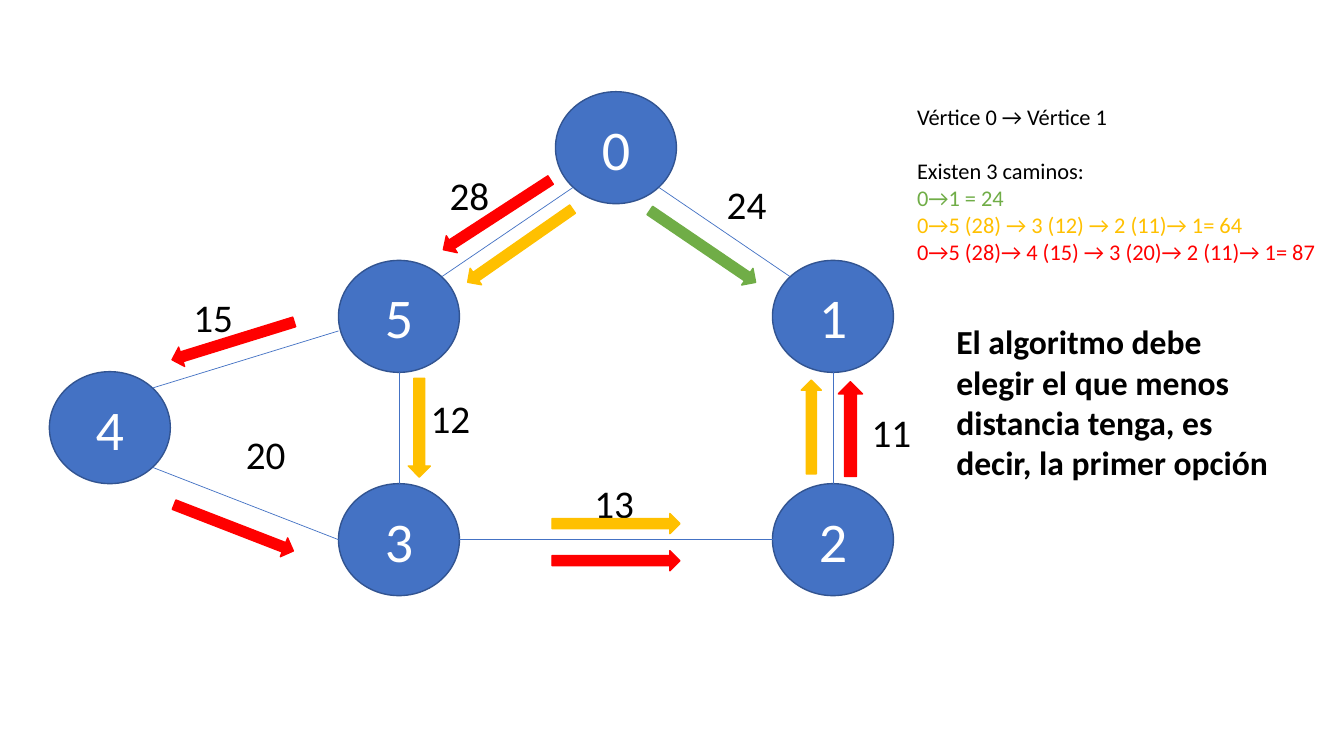
"""Build a slide of a weighted graph with the three paths from vertex 0 to vertex 1."""
from dataclasses import dataclass

from lxml import etree
from pptx import Presentation
from pptx.dml.color import RGBColor
from pptx.enum.shapes import MSO_CONNECTOR, MSO_SHAPE
from pptx.enum.text import MSO_ANCHOR, MSO_AUTO_SIZE, PP_ALIGN
from pptx.oxml.ns import qn
from pptx.util import Pt

OVAL, ARROW = MSO_SHAPE.OVAL, MSO_SHAPE.DOWN_ARROW
STRAIGHT = MSO_CONNECTOR.STRAIGHT
MIDDLE, CENTER, LEFT = MSO_ANCHOR.MIDDLE, PP_ALIGN.CENTER, PP_ALIGN.LEFT
FIT_SHAPE = MSO_AUTO_SIZE.SHAPE_TO_FIT_TEXT


@dataclass(frozen=True)
class Theme:
    font: str = "Calibri"
    black: str = "000000"
    white: str = "FFFFFF"
    blue: str = "4472C4"
    navy: str = "325491"
    green: str = "70AD47"
    amber: str = "FFC000"
    red: str = "FF0000"
    vertex_size: int = 40
    weight_size: int = 28
    conclusion_size: int = 24
    path_size: int = 16


THEME = Theme()

VERTEX_WIDTH, VERTEX_HEIGHT = 86.4, 80
VERTICES = {
    "0": (440, 105.5),
    "1": (595, 226),
    "2": (595, 385.5),
    "5": (285, 226),
    "3": (285, 385.5),
    "4": (78.5, 305.5),
}

DIAGONAL = 0.71
EDGES = [
    ("0", (DIAGONAL, DIAGONAL), "1", (-DIAGONAL, -DIAGONAL)),
    ("1", (0, 1), "2", (0, -1)),
    ("3", (1, 0), "2", (-1, 0)),
    ("5", (0, 1), "3", (0, -1)),
    ("0", (-DIAGONAL, DIAGONAL), "5", (DIAGONAL, -DIAGONAL)),
    ("4", (DIAGONAL, DIAGONAL), "3", (-1, 0)),
    ("5", (-1, 0.26), "4", (DIAGONAL, -DIAGONAL)),
]

WEIGHT_WIDTH, WEIGHT_HEIGHT = 43, 41
WEIGHTS = [
    ("15", 152.5, 226.5),
    ("24", 533.5, 146),
    ("28", 335.5, 139.5),
    ("20", 190, 324.5),
    ("11", 637, 308.5),
    ("12", 322, 298.5),
    ("13", 439, 359.5),
]

SLIM, LONG = 14.4, 91.4
PATHS = [
    ("0→1 = 24", THEME.green, [(502, 176, SLIM, LONG, 304.2)]),
    ("0→5 (28) → 3 (12) → 2 (11)→ 1= 64", THEME.amber, [
        (371.5, 175.5, SLIM, LONG, 55.1),
        (299.5, 305.5, 15.8, 70.5, 0),
        (440, 374, SLIM, LONG, 270),
        (579.5, 305, SLIM, 67, 180),
    ]),
    ("0→5 (28)→ 4 (15) → 3 (20)→ 2 (11)→ 1= 87", THEME.red, [
        (355, 153.5, SLIM, LONG, 57),
        (166.5, 243.5, SLIM, LONG, 72.8),
        (167, 377, SLIM, LONG, 291.2),
        (440, 400.5, SLIM, LONG, 270),
        (607.5, 306.5, 17.3, 67.7, 180),
    ]),
]

HEADING = "Vértice 0 → Vértice 1"
INTRO = "Existen 3 caminos:"
INTRO_GAP = 19.5
PATHS_BOX = (648, 70, 312.5, 124)
CONCLUSION = ("El algoritmo debe elegir el que menos distancia tenga, "
              "es decir, la primer opción")
CONCLUSION_BOX = (676, 226, 249, 124)


def rgb(color):
    return RGBColor.from_string(color)


def write(paragraph, text, size, color, bold=False, align=LEFT):
    paragraph.text = text
    paragraph.alignment = align
    font = paragraph.font
    font.name, font.size, font.bold = THEME.font, Pt(size), bold
    font.color.rgb = rgb(color)


def add_centered(slide, kind, x, y, width, height, fill, outline):
    shape = slide.shapes.add_shape(
        kind, Pt(x - width / 2), Pt(y - height / 2), Pt(width), Pt(height))
    shape.shadow.inherit = False
    shape.fill.solid()
    shape.fill.fore_color.rgb = rgb(fill)
    shape.line.color.rgb = rgb(outline)
    shape.line.width = Pt(1)
    return shape


def add_text(slide, box, lines, size, bold=False, wrap=True):
    frame = slide.shapes.add_textbox(*map(Pt, box)).text_frame
    frame.word_wrap = wrap
    frame.auto_size = FIT_SHAPE
    for index, (text, color) in enumerate(lines):
        paragraph = frame.add_paragraph() if index else frame.paragraphs[0]
        write(paragraph, text, size, color, bold)
    return frame


def edge_end(vertex, site):
    x, y = VERTICES[vertex]
    return Pt(x + site[0] * VERTEX_WIDTH / 2), Pt(y + site[1] * VERTEX_HEIGHT / 2)


def add_edge(slide, start, start_site, end, end_site):
    edge = slide.shapes.add_connector(
        STRAIGHT, *edge_end(start, start_site), *edge_end(end, end_site))
    edge.line.color.rgb = rgb(THEME.blue)
    edge.line.width = Pt(0.5)
    etree.SubElement(edge._element.spPr, qn("a:effectLst"))


def build():
    deck = Presentation()
    deck.slide_width, deck.slide_height = Pt(960), Pt(540)
    slide = deck.slides.add_slide(deck.slide_layouts[6])

    for name, (x, y) in VERTICES.items():
        vertex = add_centered(slide, OVAL, x, y, VERTEX_WIDTH, VERTEX_HEIGHT,
                              THEME.blue, THEME.navy)
        vertex.text_frame.vertical_anchor = MIDDLE
        write(vertex.text_frame.paragraphs[0], name, THEME.vertex_size,
              THEME.white, align=CENTER)

    for edge in EDGES:
        add_edge(slide, *edge)

    for weight, x, y in WEIGHTS:
        box = (x - WEIGHT_WIDTH / 2, y - WEIGHT_HEIGHT / 2, WEIGHT_WIDTH, WEIGHT_HEIGHT)
        add_text(slide, box, [(weight, THEME.black)], THEME.weight_size, wrap=False)

    lines = [(HEADING, THEME.black), (INTRO, THEME.black)]
    for description, color, steps in PATHS:
        lines.append((description, color))
        for x, y, width, length, angle in steps:
            step = add_centered(slide, ARROW, x, y, width, length, color, color)
            step.rotation = angle

    paths = add_text(slide, PATHS_BOX, lines, THEME.path_size)
    paths.paragraphs[1].space_before = Pt(INTRO_GAP)
    add_text(slide, CONCLUSION_BOX, [(CONCLUSION, THEME.black)],
             THEME.conclusion_size, bold=True)
    deck.save("out.pptx")


build()
